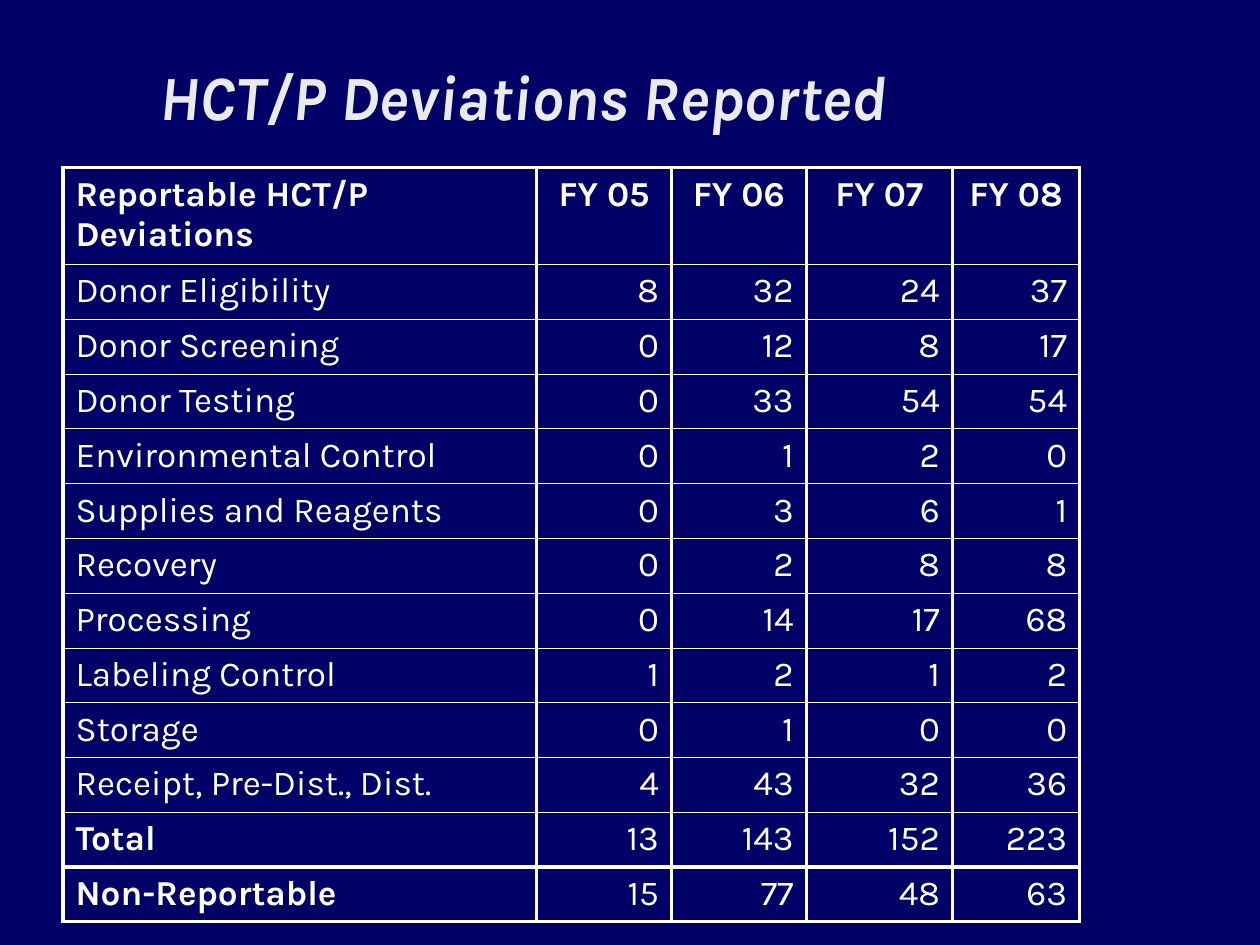
from lxml import etree
from pptx import Presentation
from pptx import util as u
from pptx.dml.color import RGBColor
from pptx.enum import text
from pptx.oxml.ns import qn

FONT = "Karla"
NAVY, WHITE, PALE = "000066", "FFFFFF", "EAEAEA"
THICK, THIN = 2.21, 0.45
LEFT, CENTER, RIGHT = text.PP_ALIGN.LEFT, text.PP_ALIGN.CENTER, text.PP_ALIGN.RIGHT

COLUMN_WIDTHS = [3.76, 1.07, 1.07, 1.16, 1.01]
HEADER_HEIGHT, ROW_HEIGHT = 0.77, 0.435
HEADINGS = ["Reportable HCT/P Deviations", "FY 05", "FY 06", "FY 07", "FY 08"]
DEVIATIONS = [
    ["Donor Eligibility", 8, 32, 24, 37],
    ["Donor Screening", 0, 12, 8, 17],
    ["Donor Testing", 0, 33, 54, 54],
    ["Environmental Control", 0, 1, 2, 0],
    ["Supplies and Reagents", 0, 3, 6, 1],
    ["Recovery", 0, 2, 8, 8],
    ["Processing", 0, 14, 17, 68],
    ["Labeling Control", 1, 2, 1, 2],
    ["Storage", 0, 1, 0, 0],
    ["Receipt, Pre-Dist., Dist.", 4, 43, 32, 36],
]
SUMMARY = [
    ["Total", 13, 143, 152, 223],
    ["Non-Reportable", 15, 77, 48, 63],
]


def color(value):
    """Turn a hex string into a colour."""
    return RGBColor.from_string(value)


def write(frame, words, size=20, fill=WHITE, bold=False, italic=False, align=LEFT):
    """Put one formatted paragraph into a text frame."""
    para = frame.paragraphs[0]
    para.alignment = align
    span = para.add_run()
    span.text = words
    span.font.name = FONT
    span.font.size = u.Pt(size)
    span.font.bold = bold
    span.font.italic = italic
    span.font.color.rgb = color(fill)


def draw_borders(cell, top, bottom):
    """Rule the four sides of a cell, with thick sides left and right."""
    properties = cell._tc.get_or_add_tcPr()
    for side, width in (("L", THICK), ("R", THICK), ("T", top), ("B", bottom)):
        line = etree.SubElement(properties, qn(f"a:ln{side}"), w=str(u.Pt(width)))
        solid = etree.SubElement(line, qn("a:solidFill"))
        etree.SubElement(solid, qn("a:srgbClr"), val=WHITE)


def add_title(page, left, top, width, height):
    """Place the slide title, centred vertically in its box."""
    box = page.shapes.add_textbox(*map(u.Inches, (left, top, width, height)))
    frame = box.text_frame
    frame.word_wrap = True
    frame.vertical_anchor = text.MSO_ANCHOR.MIDDLE
    write(frame, "HCT/P Deviations Reported", size=36, fill=PALE, bold=True, italic=True)


def add_deviation_table(page, left, top, width, height):
    """Place the table of deviations by fiscal year."""
    rows = [HEADINGS] + DEVIATIONS + SUMMARY
    last = len(rows) - 1
    total = last - 1
    table = page.shapes.add_table(
        len(rows), len(HEADINGS), *map(u.Inches, (left, top, width, height))
    ).table
    table.first_row = table.horz_banding = False
    for column, column_width in zip(table.columns, COLUMN_WIDTHS):
        column.width = u.Inches(column_width)
    for r, values in enumerate(rows):
        table.rows[r].height = u.Inches(ROW_HEIGHT if r else HEADER_HEIGHT)
        for c, value in enumerate(values):
            cell = table.cell(r, c)
            draw_borders(
                cell,
                top=THICK if r in (0, last) else THIN,
                bottom=THICK if r >= total else THIN,
            )
            cell.fill.background()
            write(
                cell.text_frame,
                str(value),
                bold=r == 0 or (c == 0 and r >= total),
                align=LEFT if c == 0 else RIGHT if r else CENTER,
            )


def main():
    """Build the slide and save the deck."""
    deck = Presentation()
    deck.slide_width, deck.slide_height = u.Inches(10), u.Inches(7.5)
    page = deck.slides.add_slide(deck.slide_layouts[6])
    page.background.fill.solid()
    page.background.fill.fore_color.rgb = color(NAVY)
    add_title(page, 1.17, 0, 8.25, 1.52)
    add_deviation_table(
        page, 0.5, 1.33, sum(COLUMN_WIDTHS), HEADER_HEIGHT + 12 * ROW_HEIGHT
    )
    deck.save("out.pptx")


if __name__ == "__main__":
    main()
